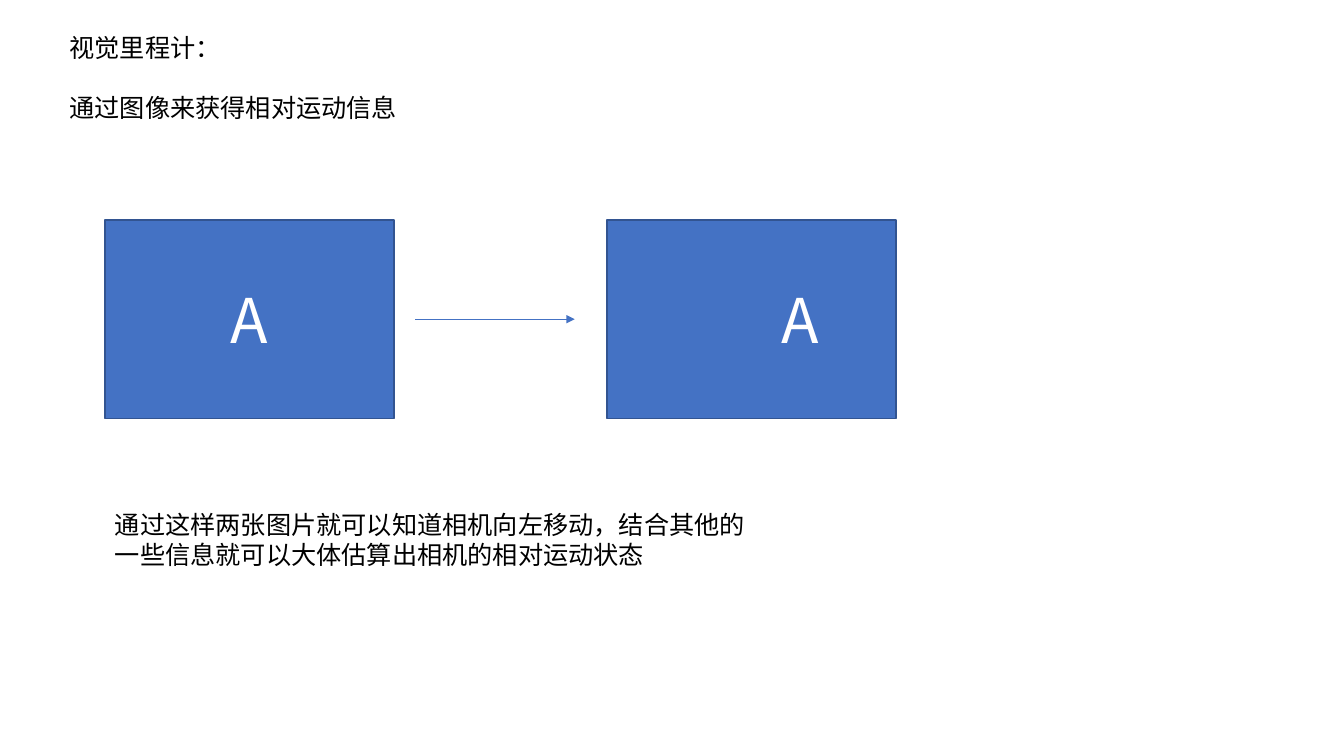
import pptx
import pptx.dml.color
import pptx.enum.shapes
import pptx.enum.text
import pptx.oxml.ns
import pptx.util
from lxml import etree

Pt = pptx.util.Pt
RGBColor = pptx.dml.color.RGBColor
qn = pptx.oxml.ns.qn
ALIGN = pptx.enum.text.PP_ALIGN
ANCHOR = pptx.enum.text.MSO_ANCHOR

FONT = "Noto Sans CJK SC"
BLACK = RGBColor(0, 0, 0)
WHITE = RGBColor(255, 255, 255)
BLUE = RGBColor(0x44, 0x72, 0xC4)
DARK_BLUE = RGBColor(0x32, 0x54, 0x91)


def write(shape, text, size, color, alignment, anchor):
    frame = shape.text_frame
    frame.text = text
    frame.word_wrap = True
    frame.auto_size = pptx.enum.text.MSO_AUTO_SIZE.NONE
    frame.vertical_anchor = anchor
    paragraph = frame.paragraphs[0]
    paragraph.alignment = alignment
    paragraph.space_before = Pt(0)
    font = paragraph.font
    font.size = Pt(size)
    font.name = FONT
    font.color.rgb = color
    properties = paragraph._p.get_or_add_pPr()
    east_asian = etree.Element(qn("a:ea"), typeface=FONT)
    properties.find(qn("a:defRPr")).find(qn("a:latin")).addnext(east_asian)
    return paragraph


def place(shape, left, top, width, height):
    shape.left, shape.top = Pt(left), Pt(top)
    shape.width, shape.height = Pt(width), Pt(height)


presentation = pptx.Presentation()
presentation.slide_width = Pt(960)
presentation.slide_height = Pt(540)
slide = presentation.slides.add_slide(presentation.slide_layouts[1])
title, body = slide.placeholders
caption = slide.shapes.add_textbox(Pt(75), Pt(360), Pt(469), Pt(51))

place(title, 42.5, 19.5, 597.5, 29)
place(body, 42.5, 62.5, 597.5, 29)
for shape, text in [
    (title, "视觉里程计："),
    (body, "通过图像来获得相对运动信息"),
    (caption, "通过这样两张图片就可以知道相机向左移动，结合其他的一些信息就可以大体估算出相机的相对运动状态"),
]:
    paragraph = write(shape, text, 18, BLACK, ALIGN.LEFT, ANCHOR.TOP)
    paragraph.line_spacing = Pt(21.5)

body_properties = body.text_frame.paragraphs[0]._p.get_or_add_pPr()
body_properties.set("marL", "0")
body_properties.set("indent", "0")
no_bullet = etree.Element(qn("a:buNone"))
body_properties.find(qn("a:defRPr")).addprevious(no_bullet)

for left, letter_inset in [(75, 7.2), (433.5, 76.5)]:
    frame_box = slide.shapes.add_shape(
        pptx.enum.shapes.MSO_SHAPE.RECTANGLE, Pt(left), Pt(157), Pt(206.5), Pt(142))
    frame_box.shadow.inherit = False
    frame_box.fill.solid()
    frame_box.fill.fore_color.rgb = BLUE
    frame_box.line.color.rgb = DARK_BLUE
    frame_box.line.width = Pt(1)
    write(frame_box, "A", 44, WHITE, ALIGN.CENTER, ANCHOR.MIDDLE)
    frame_box.text_frame.margin_left = Pt(letter_inset)

arrow = slide.shapes.add_connector(
    pptx.enum.shapes.MSO_CONNECTOR.STRAIGHT, Pt(296.5), Pt(228), Pt(410.5), Pt(228))
arrow.line.color.rgb = BLUE
arrow.line.width = Pt(0.5)
etree.SubElement(arrow.line._get_or_add_ln(), qn("a:tailEnd"), type="triangle")
etree.SubElement(arrow._element.spPr, qn("a:effectLst"))

presentation.save("out.pptx")
